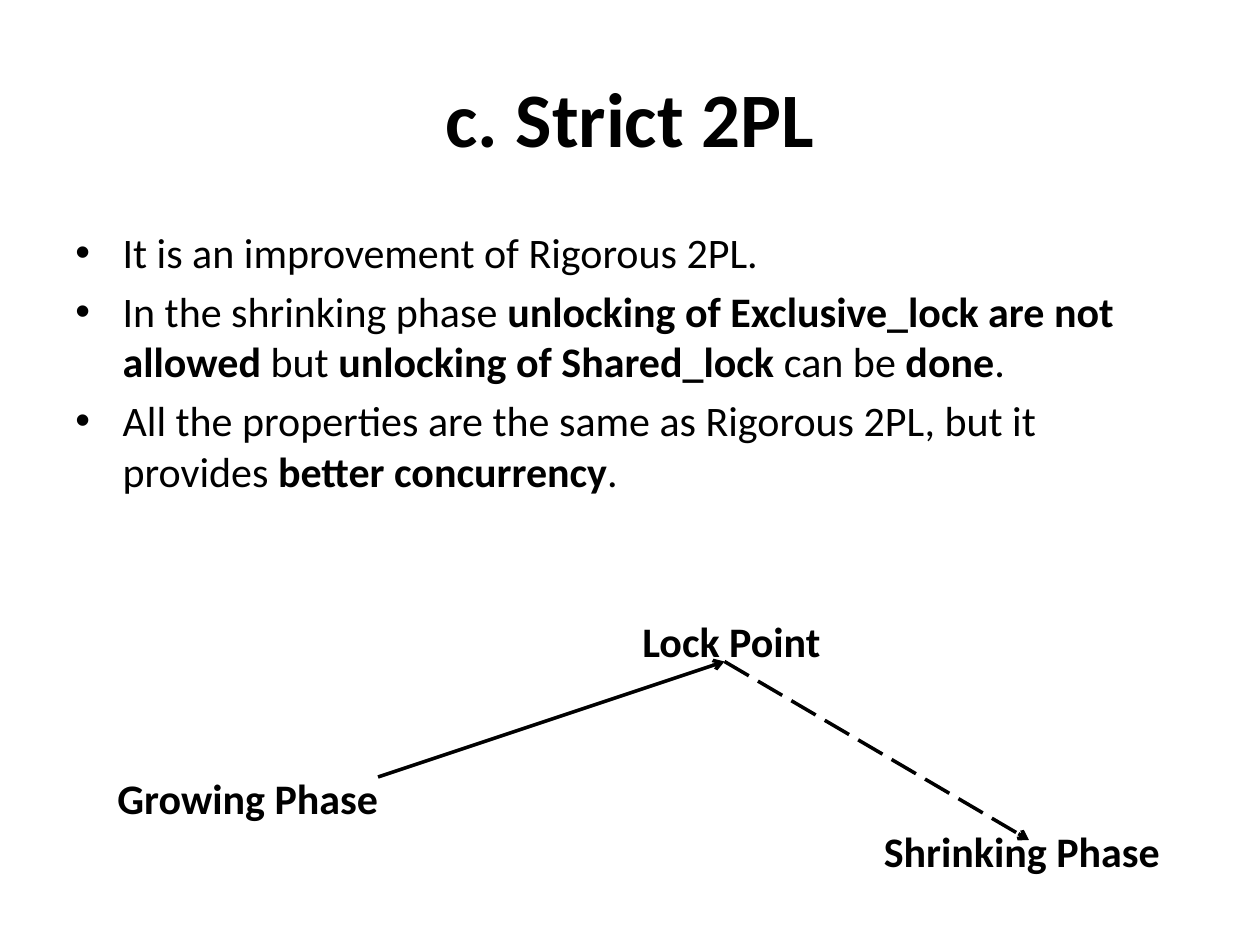
import pptx
import pptx.util
import pptx.dml.color
import pptx.enum.dml
import pptx.enum.shapes
import pptx.enum.text
import pptx.oxml.ns
import lxml.etree

EMU_PER_PX = 7620
FONT = "Calibri"
BLACK = "000000"
WHITE = "FFFFFF"
ALIGN = pptx.enum.text.PP_ALIGN
ANCHOR = pptx.enum.text.MSO_ANCHOR
DASH = pptx.enum.dml.MSO_LINE

BULLETS = [
    [("It is an improvement of Rigorous 2PL.", False)],
    [
        ("In the shrinking phase ", False),
        ("unlocking of Exclusive_lock are not allowed", True),
        (" but ", False),
        ("unlocking of Shared_lock ", True),
        ("can be", False),
        (" done", True),
        (".", False),
    ],
    [
        ("All the properties are the same as Rigorous 2PL, but it provides ", False),
        ("better concurrency", True),
        (".", False),
    ],
]


def px(length):
    return pptx.util.Emu(length * EMU_PER_PX)


def color(value):
    return pptx.dml.color.RGBColor.from_string(value)


def add_child(parent, tag, **attributes):
    return lxml.etree.SubElement(parent, pptx.oxml.ns.qn(tag), attributes)


def add_frame(slide, box, anchor=ANCHOR.TOP):
    text_frame = slide.shapes.add_textbox(*map(px, box)).text_frame
    text_frame.word_wrap = True
    text_frame.vertical_anchor = anchor
    return text_frame


def add_run(paragraph, text, size, bold):
    run = paragraph.add_run()
    run.text = text
    run.font.name = FONT
    run.font.size = pptx.util.Pt(size)
    run.font.bold = bold
    run.font.color.rgb = color(BLACK)


def add_bullet(paragraph):
    paragraph.space_before = pptx.util.Pt(4.8)
    properties = paragraph._p.get_or_add_pPr()
    indent = px(45)
    properties.set("marL", str(indent))
    properties.set("indent", str(-indent))
    add_child(properties, "a:buFont", typeface="Arial")
    add_child(properties, "a:buChar", char="•")


def add_arrow(slide, start, end, dash):
    connector = slide.shapes.add_connector(
        pptx.enum.shapes.MSO_CONNECTOR.STRAIGHT, *map(px, start + end)
    )
    connector.line.color.rgb = color(BLACK)
    connector.line.width = pptx.util.Pt(2)
    connector.line.dash_style = dash
    add_child(connector.line._get_or_add_ln(), "a:tailEnd", type="arrow")
    add_child(connector._element.spPr, "a:effectLst")


def add_title(slide, box):
    paragraph = add_frame(slide, box, ANCHOR.MIDDLE).paragraphs[0]
    paragraph.alignment = ALIGN.CENTER
    add_run(paragraph, "c. Strict 2PL", 44, True)


def add_body(slide, box):
    text_frame = add_frame(slide, box)
    for index, runs in enumerate(BULLETS):
        paragraph = text_frame.add_paragraph() if index else text_frame.paragraphs[0]
        add_bullet(paragraph)
        for text, bold in runs:
            add_run(paragraph, text, 24, bold)


def add_phase_diagram(slide, box):
    left, top, width, height = box
    label_height = 60
    peak = (left + 590, top + 50)
    add_arrow(slide, (left + 260, top + 160), peak, DASH.SOLID)
    add_arrow(slide, peak, (left + 880, top + 220), DASH.LONG_DASH)
    labels = [
        ("Lock Point", left + 500, top, 260),
        ("Growing Phase", left, top + 150, 310),
        ("Shrinking Phase", left + width - 310, top + height - label_height, 310),
    ]
    for text, label_left, label_top, label_width in labels:
        text_frame = add_frame(slide, (label_left, label_top, label_width, label_height))
        add_run(text_frame.paragraphs[0], text, 24, True)


def main():
    presentation = pptx.Presentation()
    presentation.slide_width = px(1200)
    presentation.slide_height = px(900)
    slide = presentation.slides.add_slide(presentation.slide_layouts[6])
    slide.background.fill.solid()
    slide.background.fill.fore_color.rgb = color(WHITE)
    add_title(slide, (60, 36, 1080, 150))
    add_body(slide, (60, 210, 1080, 594))
    add_phase_diagram(slide, (100, 580, 1040, 260))
    presentation.save("out.pptx")


if __name__ == "__main__":
    main()
